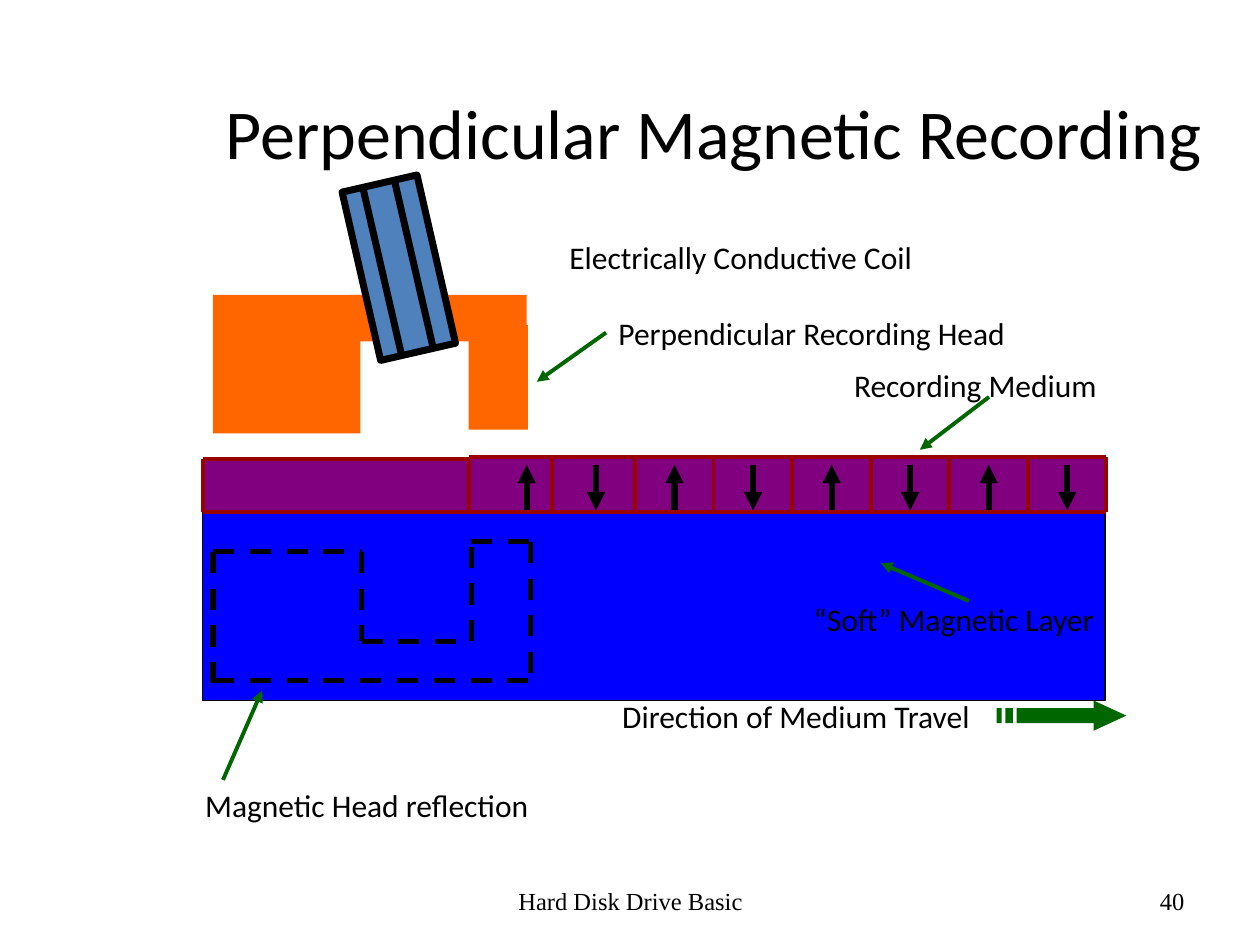
from dataclasses import dataclass

from lxml import etree
from pptx import Presentation
from pptx.dml.color import RGBColor
from pptx.enum import dml, shapes, text
from pptx.oxml.ns import qn
from pptx.util import Inches, Pt

COLORS = {
    "ink": "000000",
    "soft_layer": "0000FF",
    "medium": "800080",
    "medium_edge": "990000",
    "head": "FF6600",
    "coil": "4F81BD",
    "pointer": "006600",
}
BODY_FONT = "Calibri"
FOOTER_FONT = "Times New Roman"


@dataclass
class Area:
    left: float
    top: float
    width: float
    height: float

    def lengths(self):
        return [Inches(v) for v in (self.left, self.top, self.width, self.height)]


@dataclass
class Stroke:
    color: str
    width: float
    arrow: bool = False
    dashed: bool = False


EDGE = Stroke("medium_edge", 2.25)
BIT = Stroke("ink", 3.5, arrow=True)
POINTER = Stroke("pointer", 2.25, arrow=True)
WINDING = Stroke("ink", 4)
REFLECTION = Stroke("ink", 3, dashed=True)


def rgb(name: str) -> RGBColor:
    return RGBColor.from_string(COLORS[name])


def write(box, content: str, size=18, font=BODY_FONT, align=text.PP_ALIGN.LEFT,
          anchor=text.MSO_ANCHOR.TOP):
    frame = box.text_frame
    frame.word_wrap = True
    frame.auto_size = text.MSO_AUTO_SIZE.NONE
    frame.vertical_anchor = anchor
    para = frame.paragraphs[0]
    para.alignment = align
    span = para.add_run()
    span.text = content
    span.font.size = Pt(size)
    span.font.name = font
    span.font.color.rgb = rgb("ink")


def add_label(page, area: Area, content: str, **style):
    box = page.shapes.add_textbox(*area.lengths())
    write(box, content, **style)
    return box


def paint(shape, fill: str, line_width: float = 0):
    shape.shadow.inherit = False
    shape.fill.solid()
    shape.fill.fore_color.rgb = rgb(fill)
    if line_width:
        shape.line.color.rgb = rgb("ink")
        shape.line.width = Pt(line_width)
    else:
        shape.line.fill.background()


def add_block(page, area: Area, fill: str, line_width: float = 0,
              kind=shapes.MSO_SHAPE.RECTANGLE):
    block = page.shapes.add_shape(kind, *area.lengths())
    paint(block, fill, line_width)
    return block


def add_line(page, start: tuple, end: tuple, stroke: Stroke):
    line = page.shapes.add_connector(
        shapes.MSO_CONNECTOR.STRAIGHT, *[Inches(v) for v in (*start, *end)])
    line.line.color.rgb = rgb(stroke.color)
    line.line.width = Pt(stroke.width)
    if stroke.dashed:
        line.line.dash_style = dml.MSO_LINE.DASH
    properties = line._element.spPr
    if stroke.arrow:
        etree.SubElement(properties.find(qn("a:ln")), qn("a:tailEnd"), type="triangle")
    etree.SubElement(properties, qn("a:effectLst"))
    return line


def add_medium(page):
    top, bottom = 3.63, 4.06
    pitch = (8.78 - 5.04) / 6
    edges = [3.72, 4.38] + [5.04 + pitch * i for i in range(7)]
    for left, right in zip(edges, edges[1:]):
        add_block(page, Area(left, top, right - left, bottom - top), "medium")
    for x in edges[1:]:
        add_line(page, (x, top), (x, bottom), EDGE)
    for y in (top, bottom):
        add_line(page, (edges[0], y), (edges[-1], y), EDGE)

    blank = Area(1.61, 3.64, 2.11, 0.42)
    add_block(page, blank, "medium")
    for y in (blank.top, bottom):
        add_line(page, (blank.left, y), (edges[0], y), EDGE)
    for x in (blank.left, edges[0]):
        add_line(page, (x, blank.top), (x, bottom), EDGE)

    bits = [4.18] + [4.73 + pitch * i for i in range(7)]
    for index, x in enumerate(bits):
        high, low = (x, 3.69), (x, 4.05)
        start, end = (high, low) if index % 2 else (low, high)
        add_line(page, start, end, BIT)


def add_travel_arrow(page):
    """Striped arrow, drawn in hundredths of an inch."""
    head = [(868, 556), (868, 562), (807, 562), (807, 574), (868, 574), (868, 580), (894, 568)]
    stripes = [[(left, 562), (left, 574), (right, 574), (right, 562)]
               for left, right in ((798, 804), (791, 795))]
    builder = page.shapes.build_freeform(*head[0], scale=Inches(0.01))
    builder.add_line_segments(head[1:], close=True)
    for stripe in stripes:
        builder.move_to(*stripe[0])
        builder.add_line_segments(stripe[1:], close=True)
    paint(builder.convert_to_shape(), "pointer")


def add_head(page):
    for area in (Area(1.69, 2.34, 1.17, 1.1), Area(2.78, 2.34, 1.4, 0.37),
                 Area(3.72, 2.58, 0.47, 0.83)):
        add_block(page, area, "head")


def add_coil(page):
    coil = add_block(page, Area(2.86, 1.44, 0.61, 1.37), "coil", 4,
                     shapes.MSO_SHAPE.FLOWCHART_PROCESS)
    coil.rotation = 347.1
    for x, y in ((2.88, 1.49), (3.13, 1.43)):
        add_line(page, (x, y), (x + 0.31, y + 1.34), WINDING)


def add_reflection(page):
    corners = [(1.69, 4.38), (2.87, 4.38), (2.87, 5.09), (3.74, 5.09),
               (3.74, 4.3), (4.21, 4.3), (4.21, 5.4)]
    for start, end in zip(corners, corners[1:]):
        add_line(page, start, end, REFLECTION)
    add_line(page, (1.69, 4.38), (1.69, 5.48), REFLECTION)
    add_line(page, (1.69, 5.4), (4.21, 5.4), REFLECTION)


def main():
    deck = Presentation()
    deck.slide_width, deck.slide_height = Inches(10), Inches(7.5)
    page = deck.slides.add_slide(deck.slide_layouts[5])

    title = page.shapes.title
    title.left, title.top, title.width, title.height = Area(1.33, 0.42, 8.67, 1.25).lengths()
    middle = text.MSO_ANCHOR.MIDDLE
    write(title, "Perpendicular Magnetic Recording", size=40,
          align=text.PP_ALIGN.CENTER, anchor=middle)
    add_label(page, Area(3.42, 6.95, 3.17, 0.4), "Hard Disk Drive Basic", size=14,
              font=FOOTER_FONT, align=text.PP_ALIGN.CENTER, anchor=middle)
    add_label(page, Area(7.17, 6.95, 2.33, 0.4), "40", size=14,
              font=FOOTER_FONT, align=text.PP_ALIGN.RIGHT, anchor=middle)

    add_block(page, Area(1.61, 4.06, 7.16, 1.5), "soft_layer", 0.75)
    add_label(page, Area(4.84, 5.48, 3.07, 0.4), "Direction of Medium Travel")
    add_travel_arrow(page)
    add_medium(page)
    add_head(page)

    add_label(page, Area(4.42, 1.84, 3.58, 0.4), "Electrically Conductive Coil")
    head_label = add_label(page, Area(4.81, 2.44, 4.13, 0.4), "Perpendicular Recording Head")
    add_label(page, Area(1.53, 6.19, 3.04, 0.4), "Magnetic Head reflection")
    add_label(page, Area(6.68, 2.86, 2.26, 0.4), "Recording Medium")
    add_label(page, Area(6.36, 4.71, 2.57, 0.4), "“Soft” Magnetic Layer")

    head_pointer = add_line(page, (4.81, 2.64), (4.26, 3.03), POINTER)
    head_pointer.begin_connect(head_label, 1)
    for start, end in (((7.85, 3.15), (7.3, 3.57)), ((7.69, 4.77), (6.99, 4.47)),
                       ((1.77, 6.19), (2.08, 5.48))):
        add_line(page, start, end, POINTER)

    add_coil(page)
    add_reflection(page)
    deck.save("out.pptx")


if __name__ == "__main__":
    main()
